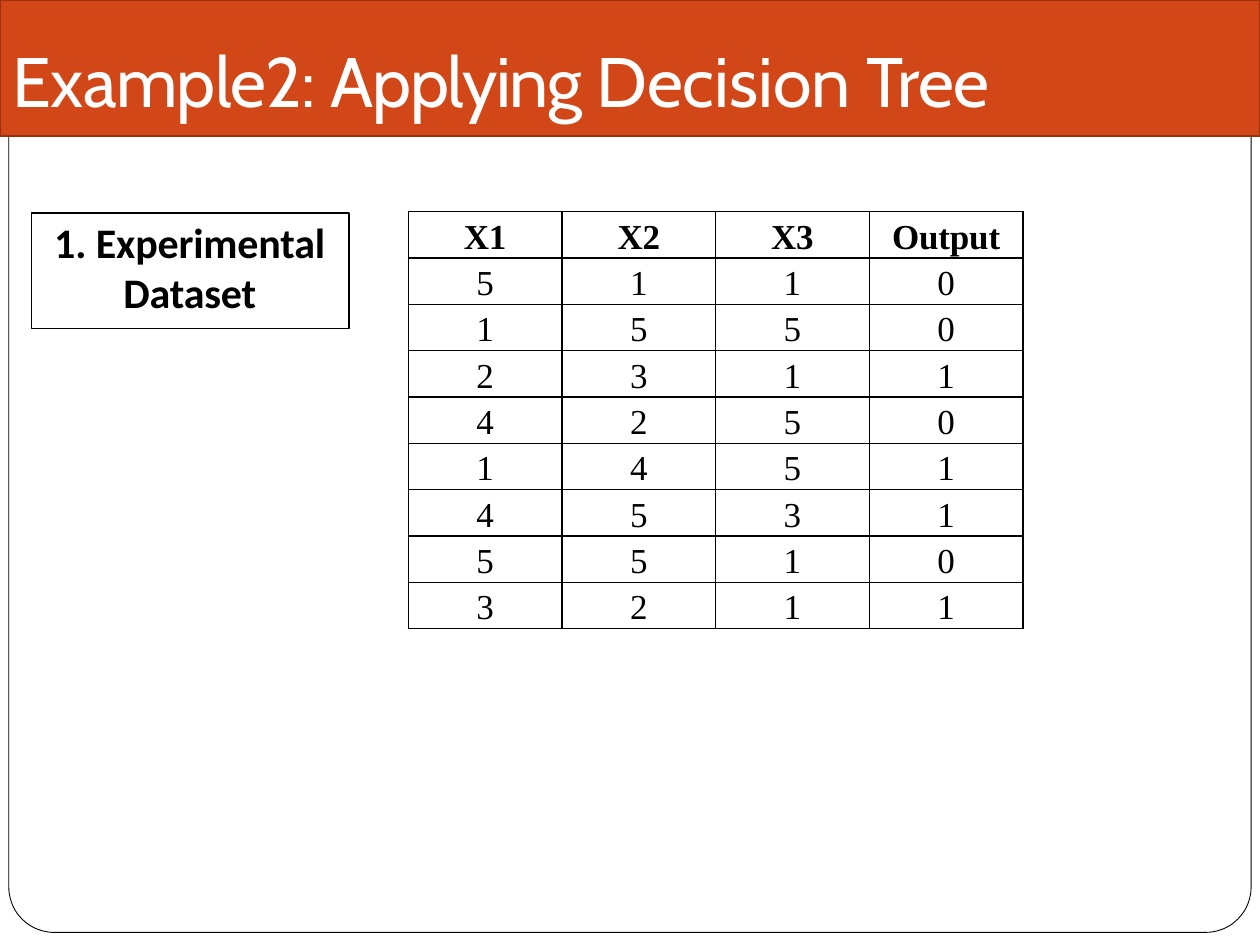
import lxml.etree
import pptx
import pptx.dml.color
import pptx.enum.shapes
import pptx.enum.text
import pptx.oxml.ns
import pptx.util

Inches, Pt = pptx.util.Inches, pptx.util.Pt
RGBColor = pptx.dml.color.RGBColor
SHAPES = pptx.enum.shapes.MSO_SHAPE
ALIGN = pptx.enum.text.PP_ALIGN

BLACK = RGBColor(0x00, 0x00, 0x00)
WHITE = RGBColor(0xFF, 0xFF, 0xFF)
ORANGE = RGBColor(0xD2, 0x47, 0x17)
RUST = RGBColor(0x9B, 0x31, 0x0D)

# Runs are (text, letter spacing in points)
TITLE = [("Example2: ", -0.3), ("Applying ", -0.8), ("Decision ", 0), ("Tree", -0.2)]
LABEL = [("1.", 0), (" Experimental Dataset", -0.1)]
HEADER = [("X1", -0.2), ("X2", -0.2), ("X3", -0.2), ("Output", -0.1)]
DATASET = [
    (5, 1, 1, 0),
    (1, 5, 5, 0),
    (2, 3, 1, 1),
    (4, 2, 5, 0),
    (1, 4, 5, 1),
    (4, 5, 3, 1),
    (5, 5, 1, 0),
    (3, 2, 1, 1),
]

WIDTH, HEIGHT = 10, 7.5
MARGIN = 0.07
CORNER = 0.36
BAND_HEIGHT = 1.08
COLUMN_WIDTH, ROW_HEIGHT = 1.22, 0.368


def add_box(slide, kind, box, line, line_width, fill=None):
    shape = slide.shapes.add_shape(kind, *map(Inches, box))
    shape.shadow.inherit = False
    shape.line.color.rgb = line
    shape.line.width = Pt(line_width)
    if fill is None:
        shape.fill.background()
    else:
        shape.fill.solid()
        shape.fill.fore_color.rgb = fill
    return shape


def write_runs(paragraph, runs, font, size, color, bold=False):
    for text, spacing in runs:
        run = paragraph.add_run()
        run.text = text
        run.font.name = font
        run.font.size = Pt(size)
        run.font.bold = bold
        run.font.color.rgb = color
        run.font._element.set("spc", str(round(spacing * 100)))


def set_insets(frame, top):
    frame.word_wrap = True
    frame.vertical_anchor = pptx.enum.text.MSO_ANCHOR.TOP
    frame.margin_left = frame.margin_right = frame.margin_bottom = 0
    frame.margin_top = Inches(top)


def set_indent(paragraph, left, first):
    properties = paragraph._p.get_or_add_pPr()
    properties.set("marL", str(Inches(left)))
    properties.set("indent", str(Inches(first)))


def add_borders(cell, color, width):
    properties = cell._tc.get_or_add_tcPr()
    qn = pptx.oxml.ns.qn
    for position, side in enumerate(("a:lnL", "a:lnR", "a:lnT", "a:lnB")):
        line = lxml.etree.Element(qn(side), w=str(Pt(width)))
        fill = lxml.etree.SubElement(line, qn("a:solidFill"))
        lxml.etree.SubElement(fill, qn("a:srgbClr"), val=str(color))
        properties.insert(position, line)


def add_title(slide):
    frame = slide.shapes.add_textbox(*map(Inches, (0.09, 0.15, 9.83, 0.83))).text_frame
    set_insets(frame, 0.15)
    paragraph = frame.paragraphs[0]
    set_indent(paragraph, 0.01, 0)
    paragraph.space_before = Pt(0.9)
    write_runs(paragraph, TITLE, "Cabin", 40, WHITE)


def add_label(slide):
    label = add_box(slide, SHAPES.RECTANGLE, (0.25, 1.69, 2.52, 0.92), BLACK, 0.75, WHITE)
    set_insets(label.text_frame, 0.02)
    paragraph = label.text_frame.paragraphs[0]
    paragraph.alignment = ALIGN.LEFT
    set_indent(paragraph, 0.73, -0.55)
    paragraph.space_before = Pt(1.8)
    paragraph.line_spacing = 1.01
    write_runs(paragraph, LABEL, "Calibri", 24, BLACK, bold=True)


def add_dataset(slide):
    rows = [HEADER] + [[(str(value), 0) for value in record] for record in DATASET]
    size = (COLUMN_WIDTH * len(HEADER), ROW_HEIGHT * len(rows))
    table = slide.shapes.add_table(
        len(rows), len(HEADER), *map(Inches, (3.24, 1.68, *size))).table
    table.first_row = table.horz_banding = False
    for column in table.columns:
        column.width = Inches(COLUMN_WIDTH)
    for r, values in enumerate(rows):
        table.rows[r].height = Inches(ROW_HEIGHT)
        for c, value in enumerate(values):
            cell = table.cell(r, c)
            cell.fill.background()
            cell.margin_left = cell.margin_right = cell.margin_bottom = 0
            cell.margin_top = Inches(0.03)
            add_borders(cell, BLACK, 1)
            paragraph = cell.text_frame.paragraphs[0]
            paragraph.alignment = ALIGN.CENTER
            paragraph.line_spacing = Pt(23.5)
            paragraph.space_before = Pt(2)
            write_runs(paragraph, [value], "Times New Roman", 20, BLACK, bold=r == 0)


def main():
    deck = pptx.Presentation()
    deck.slide_width, deck.slide_height = Inches(WIDTH), Inches(HEIGHT)
    slide = deck.slides.add_slide(deck.slide_layouts[6])

    frame_height = 7.32
    frame = add_box(slide, SHAPES.ROUNDED_RECTANGLE,
                    (MARGIN, 0.08, WIDTH - 2 * MARGIN, frame_height), BLACK, 0.5)
    frame.adjustments[0] = CORNER / frame_height
    add_box(slide, SHAPES.RECTANGLE, (0, 0, WIDTH, BAND_HEIGHT), RUST, 1, ORANGE)
    add_title(slide)
    add_label(slide)
    add_dataset(slide)
    deck.save("out.pptx")


if __name__ == "__main__":
    main()
